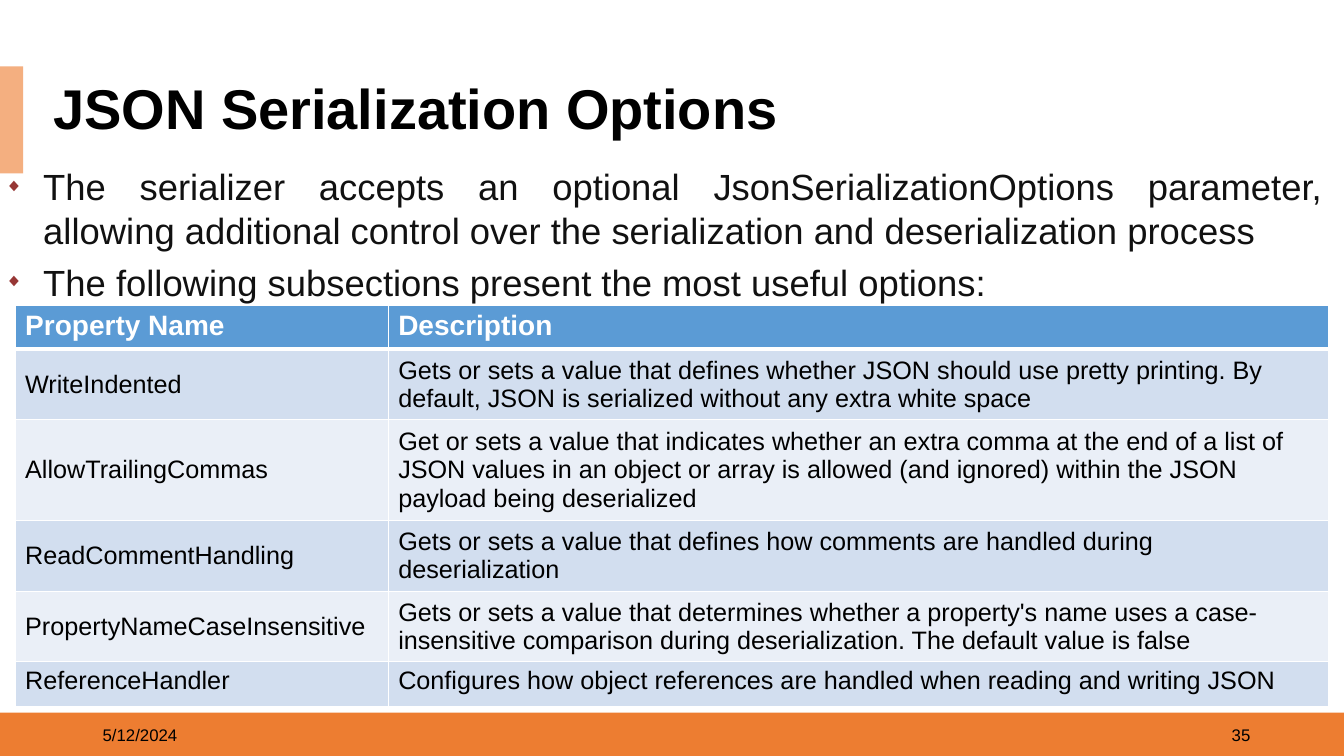
from lxml import etree
from pptx import Presentation
from pptx.dml.color import RGBColor
from pptx.enum import shapes, text
from pptx.oxml import parse_xml
from pptx.oxml.ns import nsdecls
from pptx.util import Inches, Pt

COLORS = {
    "orange": "ED7D31", "peach": "F4AF80", "black": "000000",
    "body": "111111", "bullet": "973735", "white": "FFFFFF",
    "header": "5B9BD5", "odd": "D2DEEF", "even": "EAEFF7",
}
MIDDLE = text.MSO_ANCHOR.MIDDLE
TOP = text.MSO_ANCHOR.TOP
LEFT, RIGHT, JUSTIFY = (
    text.PP_ALIGN.LEFT, text.PP_ALIGN.RIGHT, text.PP_ALIGN.JUSTIFY)


def write(p, words, size, color="black", bold=False, align=LEFT):
    p.alignment = align
    r = p.add_run()
    r.text = words
    r.font.color.rgb = RGBColor.from_string(COLORS[color])
    for name, value in {"name": "Arial", "size": Pt(size), "bold": bold}.items():
        setattr(r.font, name, value)


def add_text(box, anchor):
    tf = s.shapes.add_textbox(*map(Inches, box)).text_frame
    tf.word_wrap = True
    tf.vertical_anchor = anchor
    return tf


prs = Presentation()
prs.slide_width, prs.slide_height = Inches(13.33), Inches(7.5)
s = prs.slides.add_slide(prs.slide_layouts[6])

bars = [("orange", (0, 7.07, 13.33, 0.44)), ("peach", (0, 0.66, 0.23, 1.06))]
for color, box in bars:
    sp = s.shapes.add_shape(shapes.MSO_SHAPE.RECTANGLE, *map(Inches, box))
    sp.shadow.inherit = False
    sp.fill.solid()
    sp.fill.fore_color.rgb = RGBColor.from_string(COLORS[color])
    sp.line.fill.background()

footers = [(0.92, "5/12/2024", LEFT), (9.5, "35", RIGHT)]
for x, words, align in footers:
    tf = add_text((x, 7.09, 3, 0.4), MIDDLE)
    write(tf.paragraphs[0], words, 12, align=align)

tf = add_text((0.43, 0.79, 12.2, 0.63), MIDDLE)
tf.paragraphs[0].line_spacing = 0.9
write(tf.paragraphs[0], "JSON Serialization Options", 40, bold=True)

points = [
    "The serializer accepts an optional JsonSerializationOptions parameter, "
    "allowing additional control over the serialization and deserialization process",
    "The following subsections present the most useful options:",
]
bullet_parts = [
    f'<a:buClr {nsdecls("a")}><a:srgbClr val="{COLORS["bullet"]}"/></a:buClr>',
    f'<a:buSzPct {nsdecls("a")} val="50000"/>',
    f'<a:buFont {nsdecls("a")} typeface="Arial"/>',
    f'<a:buChar {nsdecls("a")} char="◆"/>',
    f'<a:tabLst {nsdecls("a")}><a:tab pos="{Inches(0.26)}" algn="l"/></a:tabLst>',
]
tf = add_text((-0.05, 1.58, 13.28, 1.46), TOP)
tf.auto_size = text.MSO_AUTO_SIZE.SHAPE_TO_FIT_TEXT
for i, point in enumerate(points):
    p = tf.add_paragraph() if i else tf.paragraphs[0]
    p.space_before = Pt(3 if i else 0)
    p.space_after = Pt(3)
    pPr = p._p.get_or_add_pPr()
    pPr.set("marL", str(Inches(0.38)))
    pPr.set("indent", str(-Inches(0.38)))
    for part in bullet_parts:
        pPr.append(parse_xml(part))
    write(p, point, 26, "body", align=JUSTIFY)

rows = [
    (0.43, "Property Name", "Description"),
    (0.7, "WriteIndented",
     "Gets or sets a value that defines whether JSON should use pretty printing. "
     "By default, JSON is serialized without any extra white space"),
    (1, "AllowTrailingCommas",
     "Get or sets a value that indicates whether an extra comma at the end of a "
     "list of JSON values in an object or array is allowed (and ignored) within "
     "the JSON payload being deserialized"),
    (0.7, "ReadCommentHandling",
     "Gets or sets a value that defines how comments are handled during "
     "deserialization"),
    (0.7, "PropertyNameCaseInsensitive",
     "Gets or sets a value that determines whether a property's name uses a "
     "case-insensitive comparison during deserialization. The default value is false"),
    (0.44, "ReferenceHandler",
     "Configures how object references are handled when reading and writing JSON"),
]
table = s.shapes.add_table(
    len(rows), 2, *map(Inches, (0.15, 3.03, 13.03, 3.97))).table
for column, width in zip(table.columns, (3.7, 9.33)):
    column.width = Inches(width)
for i, (height, *cells) in enumerate(rows):
    table.rows[i].height = Inches(height)
    header = i == 0
    fill = "header" if header else "odd" if i % 2 else "even"
    for j, words in enumerate(cells):
        cell = table.cell(i, j)
        cell.vertical_anchor = TOP if i in (0, len(rows) - 1) else MIDDLE
        tcPr = cell._tc.get_or_add_tcPr()
        for side in "LRTB":
            thick = (side, i) in (("B", 0), ("T", 1))
            tcPr.append(parse_xml(
                f'<a:ln{side} {nsdecls("a")} w="{Pt(3 if thick else 1)}"><a:solidFill>'
                f'<a:srgbClr val="{COLORS["white"]}"/></a:solidFill></a:ln{side}>'))
        cell.fill.solid()
        cell.fill.fore_color.rgb = RGBColor.from_string(COLORS[fill])
        p = cell.text_frame.paragraphs[0]
        if header:
            write(p, words, 20, "white", True, JUSTIFY)
        else:
            write(p, words, 18)

prs.save("out.pptx")
